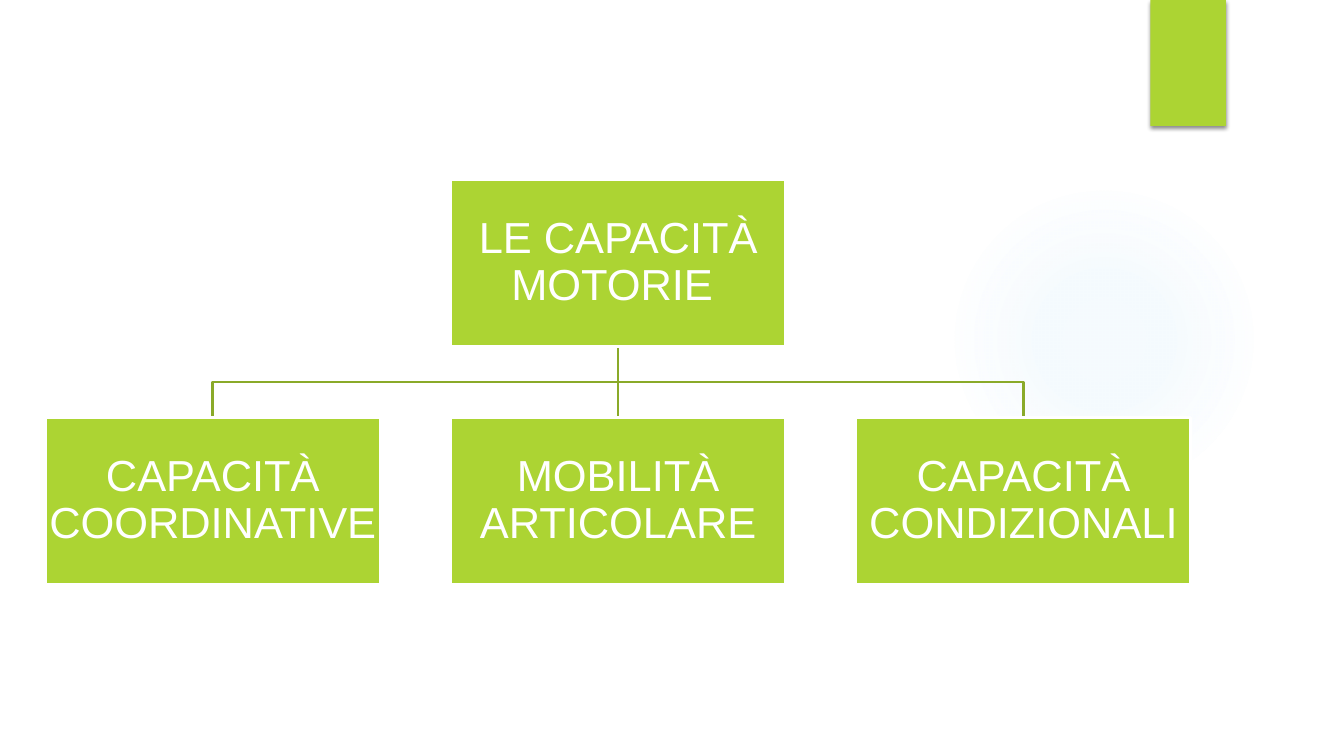
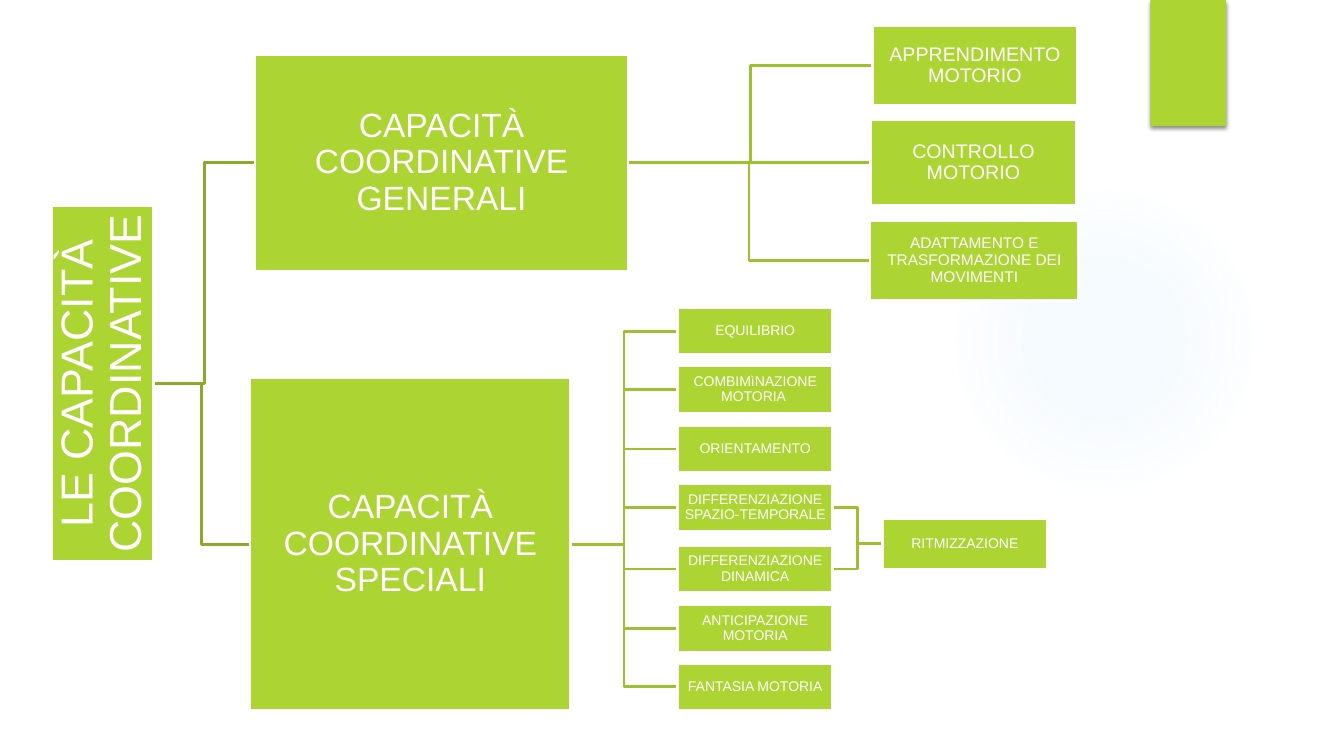
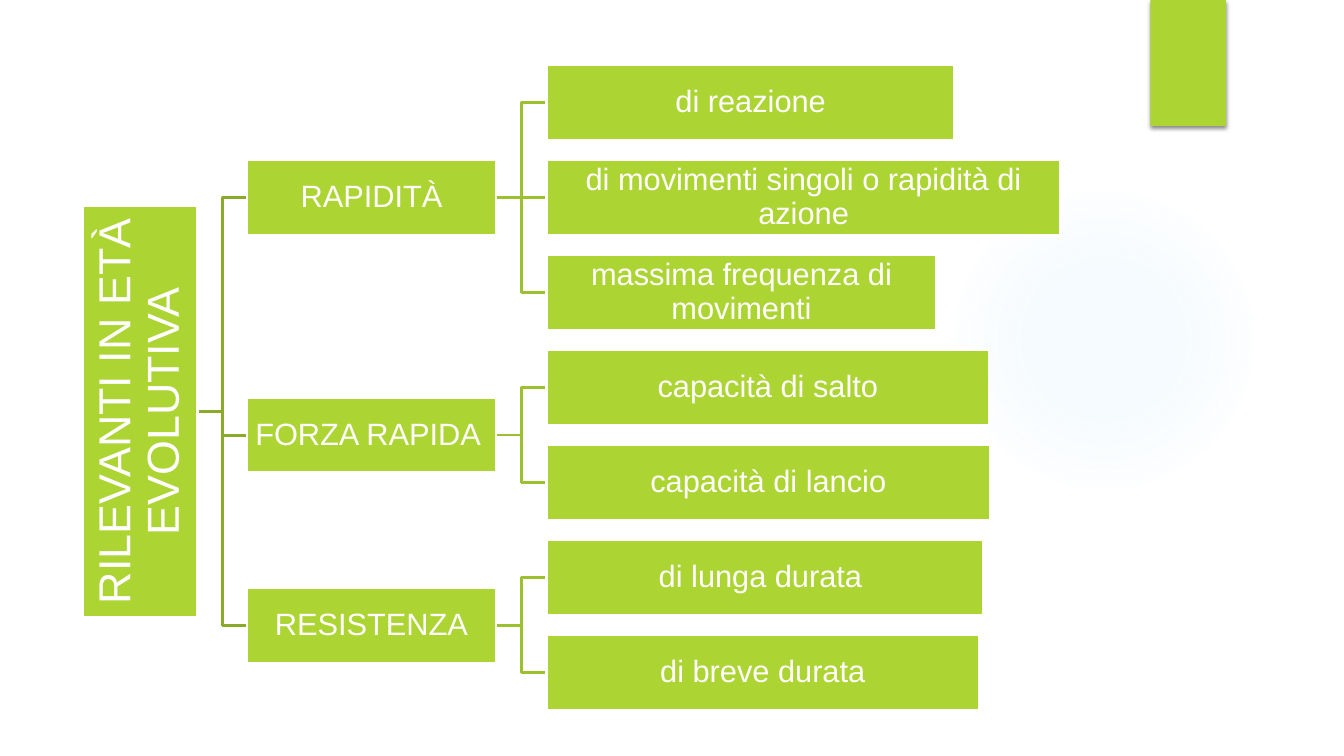
from dataclasses import dataclass
from itertools import product

from pptx import Presentation
from pptx import util as u
from pptx.dml import color as dml
from pptx.enum import shapes, text
from pptx.oxml import parse_xml
from pptx.oxml.ns import nsdecls

PX = 9144
FONT = "Arial"
HUES = {
    "lime": "ACD433",
    "dark": "8AAA29",
    "mid": "9CC02E",
    "white": "FFFFFF",
    "glow": "78C4F1",
    "shade": "000000",
}


@dataclass
class Node:
    """A labelled box, measured in px as it is seen."""
    label: str
    x: float
    y: float
    w: float
    h: float
    size: int
    turn: bool = False


def px(num):
    """Turn px into EMU."""
    return u.Emu(round(num * PX))


def hue(name):
    """Give the colour of a name."""
    return dml.RGBColor.from_string(HUES[name])


def ink(shape, name, width=2):
    """Set the line of a shape."""
    shape.line.color.rgb = hue(name)
    shape.line.width = u.Pt(width)


def block(slide, kind, x, y, w, h, fill="lime"):
    """Add a flat shape without a line."""
    shape = slide.shapes.add_shape(kind, px(x), px(y), px(w), px(h))
    shape.shadow.inherit = False
    shape.fill.solid()
    shape.fill.fore_color.rgb = hue(fill)
    shape.line.fill.background()
    return shape


def write(shape, words, size=22, color="white", pad=2):
    """Put formatted, centred text into a shape."""
    frame = shape.text_frame
    frame.word_wrap = True
    frame.vertical_anchor = text.MSO_ANCHOR.MIDDLE
    frame.margin_left = frame.margin_right = px(pad)
    frame.margin_top = frame.margin_bottom = px(pad)
    para = frame.paragraphs[0]
    para.alignment = text.PP_ALIGN.CENTER
    para.line_spacing = 0.9
    run = para.add_run()
    run.text = words
    run.font.size = u.Pt(size)
    run.font.name = FONT
    run.font.color.rgb = hue(color)


def card(slide, node):
    """Draw one node."""
    w, h = (node.h, node.w) if node.turn else (node.w, node.h)
    x = node.x + (node.w - w) / 2
    y = node.y + (node.h - h) / 2
    shape = block(slide, shapes.MSO_SHAPE.RECTANGLE, x, y, w, h)
    shape.rotation = 270 if node.turn else 0
    ink(shape, "white")
    write(shape, node.label, size=node.size, pad=2 if node.size > 20 else 1)


def link(slide, top, kid, color, down):
    """Join two nodes by a straight or a bent line."""
    if down:
        x1, y1 = top.x + top.w / 2, top.y + top.h
        x2, y2 = kid.x + kid.w / 2, kid.y
        mid = (y1 + y2) / 2
        bend = [(x1, mid), (x2, mid)]
    else:
        x1, y1 = top.x + top.w, top.y + top.h / 2
        x2, y2 = kid.x, kid.y + kid.h / 2
        mid = (x1 + x2) / 2
        bend = [(mid, y1), (mid, y2)]
    if min(abs(x2 - x1), abs(y2 - y1)) < 1:
        line = slide.shapes.add_connector(
            shapes.MSO_CONNECTOR.STRAIGHT, px(x1), px(y1), px(x2), px(y2))
        line.element.spPr.append(parse_xml(f"<a:effectLst {nsdecls('a')}/>"))
        ink(line, color)
        return
    path = slide.shapes.build_freeform(px(x1), px(y1))
    path.add_line_segments([(px(x), px(y)) for x, y in bend + [(x2, y2)]], close=False)
    line = path.convert_to_shape()
    line.shadow.inherit = False
    line.fill.background()
    ink(line, color)


def plot(slide, fans, down=False):
    """Draw the links of all fans, then each node once."""
    nodes = []
    for color, tops, kids in fans:
        for top, kid in product(tops, kids):
            link(slide, top, kid, color, down)
        nodes += [node for node in tops + kids if node not in nodes]
    for node in nodes:
        card(slide, node)


def decor(slide, base):
    """Place the glow and the corner band on the layout."""
    for hold in list(base.placeholders):
        hold.element.getparent().remove(hold.element)
    glow = block(slide, shapes.MSO_SHAPE.OVAL, 941, 183, 308, 308, "glow")
    stops = "".join(
        f'<a:gs pos="{at * 1000}"><a:srgbClr val="{HUES["glow"]}">'
        f'<a:alpha val="{alpha * 1000}"/></a:srgbClr></a:gs>'
        for at, alpha in ((0, 7), (36, 6), (69, 0), (100, 0)))
    fill = parse_xml(
        f'<a:gradFill {nsdecls("a")} rotWithShape="1"><a:gsLst>{stops}</a:gsLst>'
        '<a:path path="circle"><a:fillToRect l="50000" t="50000" r="50000" b="50000"/>'
        '</a:path></a:gradFill>')
    props = glow.element.spPr
    props.replace(props.find("{*}solidFill"), fill)
    band = block(slide, shapes.MSO_SHAPE.RECTANGLE, 1141, 0, 75, 125)
    shade = parse_xml(
        f'<a:effectLst {nsdecls("a")}><a:outerShdw blurRad="{u.Pt(3)}" dist="{u.Pt(2)}" '
        f'dir="5400000" rotWithShape="0"><a:srgbClr val="{HUES["shade"]}">'
        '<a:alpha val="45000"/></a:srgbClr></a:outerShdw></a:effectLst>')
    props = band.element.spPr
    props.replace(props.find("{*}effectLst"), shade)
    for shape in (glow, band):
        base.shapes.element.append(shape.element)


def chart(slide, left, top):
    """Draw the overview of motor abilities."""
    w, h, step = 332, 166, 402
    root = Node("LE CAPACITÀ MOTORIE ", left + step, top, w, h, 31)
    names = ("CAPACITÀ COORDINATIVE", "MOBILITÀ ARTICOLARE", "CAPACITÀ CONDIZIONALI")
    kids = [Node(name, left + i * step, top + 236, w, h, 31)
            for i, name in enumerate(names)]
    plot(slide, [("dark", [root], kids)], down=True)


def skills(slide, left, top):
    """Draw the tree of coordination abilities."""
    def node(label, x, y, w, h, size, turn=False):
        """Make a node inside the region."""
        return Node(label, left + x, top + y, w, h, size, turn)

    root = node("LE CAPACITÀ COORDINATIVE", 0, 179, 101, 353, 32, True)
    main = node("CAPACITÀ COORDINATIVE GENERALI", 202, 29, 370, 215, 24)
    spec = node("CAPACITÀ COORDINATIVE SPECIALI", 197, 350, 318, 330, 24)
    wide = [
        node("APPRENDIMENTO MOTORIO", 814, 0, 204, 80, 14),
        node("CONTROLLO MOTORIO", 812, 94, 205, 85, 14),
        node("ADATTAMENTO E TRASFORMAZIONE DEI MOVIMENTI", 812, 194, 207, 79, 11),
    ]
    rows = (
        ("EQUILIBRIO", 280),
        ("COMBIMìNAZIONE MOTORIA ", 338),
        ("ORIENTAMENTO", 397),
        ("DIFFERENZIAZIONE SPAZIO-TEMPORALE", 455),
        ("DIFFERENZIAZIONE DINAMICA", 516),
        ("ANTICIPAZIONE MOTORIA", 575),
        ("FANTASIA MOTORIA", 633),
    )
    small = [node(name, 621, y, 154, 47, 10) for name, y in rows]
    beat = node("RITMIZZAZIONE", 824, 489, 164, 51, 10)
    plot(slide, [
        ("dark", [root], [main, spec]),
        ("mid", [main], wide),
        ("mid", [spec], small),
        ("mid", small[3:5], [beat]),
    ])


def growth(slide, left, top):
    """Draw the tree of abilities that matter while growing up."""
    high, step, row = 75, 94.33, 0
    groups = (
        ("RAPIDITÀ", (
            ("di reazione", 405),
            ("di movimenti singoli o rapidità di azione", 510),
            ("massima frequenza di movimenti", 387))),
        ("FORZA RAPIDA ", (("capacità di salto", 439), ("capacità di lancio", 440))),
        ("RESISTENZA", (("di lunga durata ", 433), ("di breve durata", 429))),
    )
    tops, fans = [], []
    for name, items in groups:
        kids = [Node(label, left + 460, top + (row + i) * step, w, high, 22)
                for i, (label, w) in enumerate(items)]
        row += len(items)
        mid = (kids[0].y + kids[-1].y) / 2
        tops.append(Node(name, left + 163, mid, 247, high, 22))
        fans.append(("mid", tops[-1:], kids))
    mid = (tops[0].y + tops[-1].y + high) / 2
    root = Node("RILEVANTI IN ETÀ EVOLUTIVA", left, mid - 409 / 2, 114, 409, 32, True)
    plot(slide, [("dark", [root], tops)] + fans)


def main():
    """Build the deck."""
    deck = Presentation()
    deck.slide_width, deck.slide_height = px(1333), px(750)
    base = deck.slide_layouts[6]
    pages = ((chart, 45, 178), (skills, 51, 25), (growth, 82, 64))
    for i, (draw, left, top) in enumerate(pages):
        slide = deck.slides.add_slide(base)
        if i == 0:
            decor(slide, base)
        draw(slide, left, top)
    deck.save("out.pptx")


if __name__ == "__main__":
    main()
